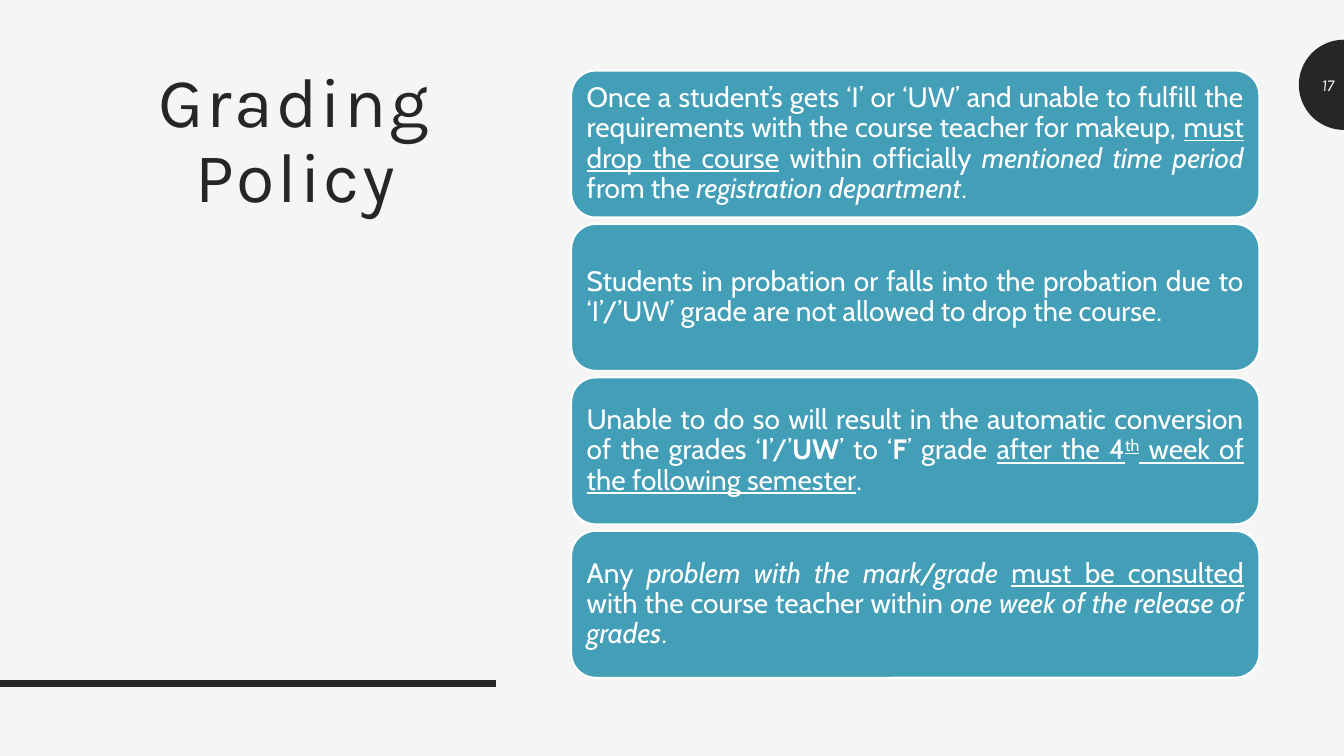
from math import cos, pi, sin

from lxml.etree import SubElement
from pptx import Presentation
from pptx.dml.color import RGBColor
from pptx.enum.shapes import MSO_CONNECTOR, MSO_SHAPE
from pptx.enum.text import MSO_ANCHOR, PP_ALIGN
from pptx.oxml.ns import qn
from pptx.util import Pt

INK, PAPER, TEAL, WHITE = "262626", "F5F5F5", "439EB7", "FFFFFF"

# Each rule is a list of (text, style); styles: b bold, i italic, u underline, ^ raised
RULES = [
    [("Once a student’s gets ‘I’ or ‘UW’ and unable to fulfill the requirements "
      "with the course teacher for makeup, ", ""),
     ("must drop the course", "u"),
     (" within officially ", ""),
     ("mentioned time period", "i"),
     (" from the ", ""),
     ("registration department", "i"),
     (".", "")],
    [("Students in probation or falls into the probation due to ‘I’/’UW’ grade "
      "are not allowed to drop the course.", "")],
    [("Unable to do so will result in the automatic conversion of the grades ‘", ""),
     ("I", "b"),
     ("’/’", ""),
     ("UW", "b"),
     ("’ to ‘", ""),
     ("F", "b"),
     ("’ grade ", ""),
     ("after the 4", "u"),
     ("th", "u^"),
     (" week of the following semester", "u"),
     (".", "")],
    [("Any ", ""),
     ("problem with the mark/grade ", "i"),
     ("must be consulted", "u"),
     (" with the course teacher within ", ""),
     ("one week of the release of grades", "i"),
     (".", "")],
]
CARD_X, CARD_Y, CARD_W, CARD_H, CARD_STEP = 408, 50.4, 491.6, 105, 109.6
BADGE_Y, BADGE_R = 60.6, 32.2
WIDE, HIGH = 960, 540


def color(code):
    return RGBColor.from_string(code)


def paint(shape, fill):
    shape.shadow.inherit = False
    shape.fill.solid()
    shape.fill.fore_color.rgb = color(fill)


def add_run(para, text, face, size, ink, style=""):
    run = para.add_run()
    run.text = text
    font = run.font
    font.name, font.size = face, Pt(size)
    font.color.rgb = color(ink)
    if "b" in style:
        font.bold = True
    if "i" in style:
        font.italic = True
    if "u" in style:
        font.underline = True
    if "^" in style:
        run._r.get_or_add_rPr().set("baseline", "30000")
    return run


def add_text(x, y, w, h, align, anchor):
    """Add a wrapping text box and return its first paragraph."""
    frame = shapes.add_textbox(Pt(x), Pt(y), Pt(w), Pt(h)).text_frame
    frame.word_wrap = True
    frame.vertical_anchor = anchor
    para = frame.paragraphs[0]
    para.alignment = align
    return para


def add_badge():
    """Draw the half disc that meets the right edge of the slide."""
    steps = 48
    arc = [(Pt(WIDE - BADGE_R * sin(pi * k / steps)),
            Pt(BADGE_Y + BADGE_R * cos(pi * k / steps))) for k in range(steps + 1)]
    form = shapes.build_freeform(*arc[0])
    form.add_line_segments(arc[1:], close=True)
    badge = form.convert_to_shape()
    paint(badge, INK)
    badge.line.fill.background()


def add_card(y, rule):
    card = shapes.add_shape(MSO_SHAPE.ROUNDED_RECTANGLE,
                            Pt(CARD_X), Pt(y), Pt(CARD_W), Pt(CARD_H))
    paint(card, TEAL)
    card.line.color.rgb = color(WHITE)
    card.line.width = Pt(1.5)
    frame = card.text_frame
    frame.word_wrap = True
    frame.vertical_anchor = MSO_ANCHOR.MIDDLE
    frame.margin_left = frame.margin_right = Pt(6)
    frame.margin_top = frame.margin_bottom = Pt(6)
    para = frame.paragraphs[0]
    para.alignment = PP_ALIGN.JUSTIFY
    para.line_spacing = 0.9
    for text, style in rule:
        add_run(para, text, "Cabin", 20, WHITE, style)


deck = Presentation()
deck.slide_width, deck.slide_height = Pt(WIDE), Pt(HIGH)
slide = deck.slides.add_slide(deck.slide_layouts[6])
shapes = slide.shapes
slide.background.fill.solid()
slide.background.fill.fore_color.rgb = color(PAPER)

add_badge()

bar = shapes.add_connector(MSO_CONNECTOR.STRAIGHT, 0, Pt(488.2), Pt(354.2), Pt(488.2))
bar.line.color.rgb = color(INK)
bar.line.width = Pt(4.5)
SubElement(bar._element.spPr, qn("a:effectLst"))

title = add_text(60, 44, 302, 179, PP_ALIGN.CENTER, MSO_ANCHOR.TOP)
title.line_spacing = 0.9
head = add_run(title, "Grading Policy", "Karla", 50, INK)
head._r.get_or_add_rPr().set("spc", "200")

number = add_text(WIDE - BADGE_R, 46.4, BADGE_R, 28.8, PP_ALIGN.RIGHT, MSO_ANCHOR.MIDDLE)
add_run(number, "17", "Karla", 12, PAPER, "i")

for row, rule in enumerate(RULES):
    add_card(CARD_Y + row * CARD_STEP, rule)

deck.save("out.pptx")
